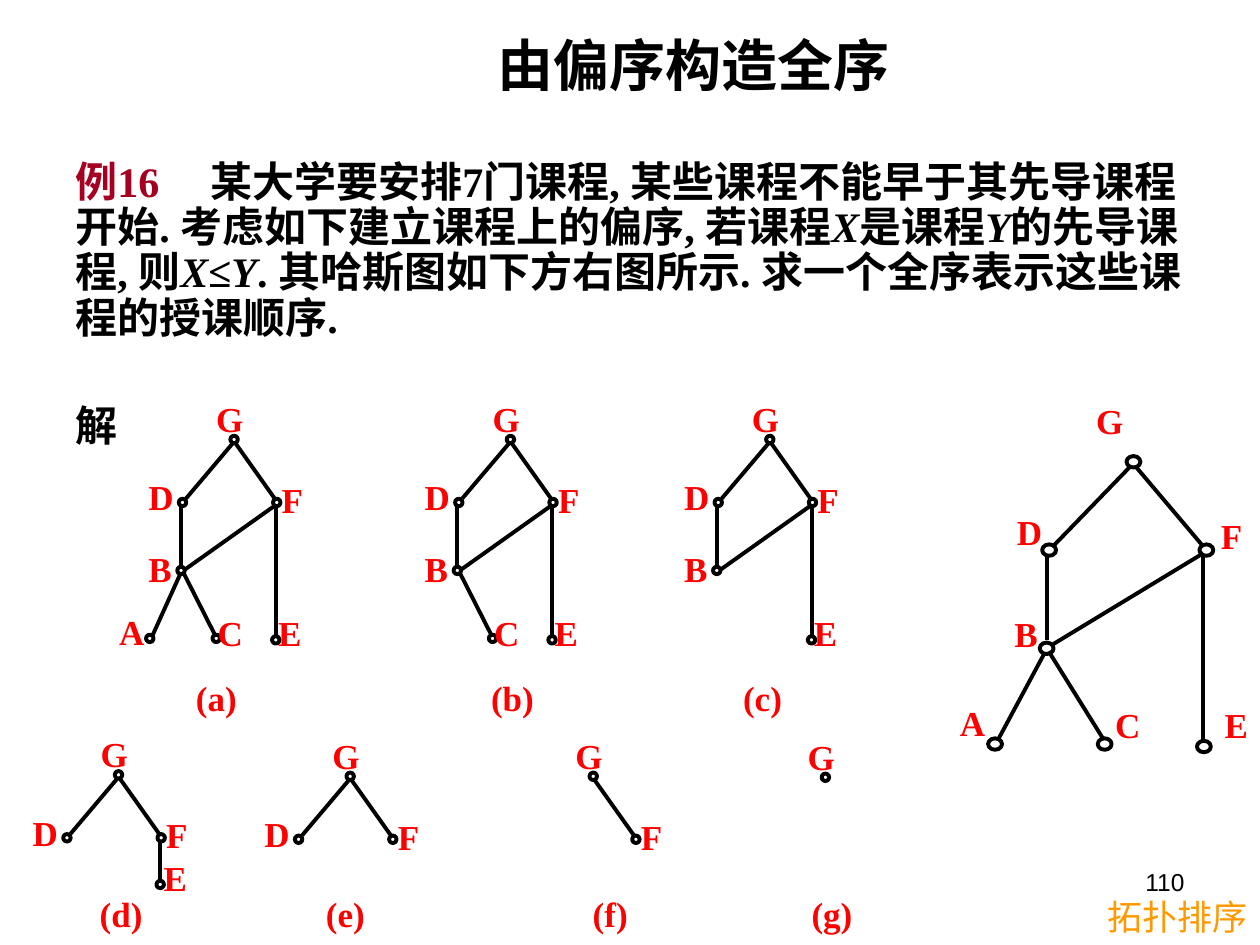
"""Build the slide on extending a partial order of courses to a total order."""
import pptx
import pptx.dml.color
import pptx.enum.shapes
import pptx.enum.text
import pptx.util
import lxml.etree

Cm, Pt = pptx.util.Cm, pptx.util.Pt
ALIGN = pptx.enum.text.PP_ALIGN
SERIF = "Times New Roman"
BLACK, RED, CRIMSON, ORANGE, WHITE = "000000", "FF0000", "A50021", "FF9900", "FFFFFF"

TITLE = "由偏序构造全序"
EXAMPLE = [
    ("例16\t", CRIMSON, False),
    ("某大学要安排7门课程, 某些课程不能早于其先导课程开始. 考虑如下建立课程上的偏序, 若课程", BLACK, False),
    ("X", BLACK, True),
    ("是课程", BLACK, False),
    ("Y", BLACK, True),
    ("的先导课程, 则", BLACK, False),
    ("X", BLACK, True),
    ("≤", BLACK, False),
    ("Y", BLACK, True),
    (". 其哈斯图如下方右图所示. 求一个全序表示这些课程的授课顺序.", BLACK, False),
]
SOLUTION = "解"
CAPTIONS = [
    ((0.89, 13.51, 17.86, 1.7), [("(a)", 2.81), ("(b)", 8.76), ("(c)", 13.84)]),
    ((0.89, 17.86, 17.35, 1.19), [("(d)", 0.87), ("(e)", 5.43), ("(f)", 10.81), ("(g)", 15.22)]),
]

SMALL = {
    "node": (0.15, 0.15),
    "label": (1.37, 1.17),
    "centres": {"G": (0, 0), "D": (-1.04, 1.27), "F": (0.86, 1.27), "B": (-1.07, 2.64),
                "A": (-1.7, 4.01), "C": (-0.36, 4.01), "E": (0.84, 4.04)},
    "labels": {"G": (-0.61, -0.97), "D": (-1.98, 0.61), "F": (0.71, 0.66), "B": (-1.98, 2.06),
               "A": (-2.57, 3.33), "C": (-0.58, 3.35), "E": (0.64, 3.35)},
    "edges": {"BC": (-1.02, 2.69, -0.36, 3.99), "BA": (-1.09, 2.72, -1.65, 3.96),
              "DB": (-1.07, 1.35, -1.07, 2.54), "FB": (0.84, 1.32, -0.99, 2.62),
              "DG": (-0.97, 1.19, -0.03, 0.08), "GF": (0.03, 0.08, 0.84, 1.22),
              "FE": (0.84, 1.35, 0.84, 3.96)},
}
SHORT = {
    **SMALL,
    "centres": {**SMALL["centres"], "E": (0.84, 2.21)},
    "labels": {**SMALL["labels"], "E": (0.66, 1.52)},
    "edges": {**SMALL["edges"], "FE": (0.84, 1.35, 0.84, 2.11)},
}
LARGE = {
    "node": (0.28, 0.23),
    "label": (0.95, 1.68),
    "centres": {"G": (0, 0), "D": (-1.7, 1.78), "F": (1.47, 1.78), "B": (-1.75, 3.76),
                "A": (-2.79, 5.69), "C": (-0.58, 5.69), "E": (1.42, 5.74)},
    "labels": {"G": (-1, -1.38), "D": (-2.6, 0.85), "F": (1.51, 0.93), "B": (-2.65, 2.91),
               "A": (-3.75, 4.71), "C": (-0.62, 4.74), "E": (1.59, 4.74)},
    "edges": {"BC": (-1.71, 3.82, -0.57, 5.65), "BA": (-1.79, 3.85, -2.73, 5.6),
              "DB": (-1.74, 1.89, -1.74, 3.59), "FB": (1.41, 1.84, -1.66, 3.7),
              "DG": (-1.61, 1.69, -0.06, 0.09), "GF": (0.04, 0.09, 1.41, 1.71),
              "FE": (1.41, 1.89, 1.41, 5.6)},
}
DIAGRAMS = [
    (LARGE, "GDFBACE", 22.85, 9.31),
    (SMALL, "GDFBACE", 4.72, 8.86),
    (SMALL, "GDFBCE", 10.29, 8.86),
    (SMALL, "GDFBE", 15.52, 8.86),
    (SHORT, "GDFE", 2.39, 15.62),
    (SMALL, "GDF", 7.06, 15.65),
    (SMALL, "GF", 11.96, 15.65),
    (SMALL, "G", 16.64, 15.67),
]


def rgb(colour):
    return pptx.dml.color.RGBColor.from_string(colour)


def add_run(paragraph, text, size, colour, bold=True, italic=False, font=SERIF):
    run = paragraph.add_run()
    run.text = text
    run.font.size, run.font.name = Pt(size), font
    run.font.bold, run.font.italic = bold, italic
    run.font.color.rgb = rgb(colour)


def add_box(slide, place, align=ALIGN.LEFT, wrap=True):
    frame = slide.shapes.add_textbox(*map(Cm, place)).text_frame
    frame.word_wrap = wrap
    frame.paragraphs[0].alignment = align
    return frame


def set_tabs(paragraph, stops):
    properties = paragraph._p.get_or_add_pPr()
    tabs = lxml.etree.SubElement(properties, pptx.oxml.ns.qn("a:tabLst"))
    for stop in stops:
        lxml.etree.SubElement(tabs, pptx.oxml.ns.qn("a:tab"), pos=str(Cm(stop)), algn="l")


def style_line(line):
    line.color.rgb = rgb(BLACK)
    line.width = Pt(2.25)


def add_edge(slide, x1, y1, x2, y2):
    edge = slide.shapes.add_connector(
        pptx.enum.shapes.MSO_CONNECTOR.STRAIGHT, Cm(x1), Cm(y1), Cm(x2), Cm(y2))
    style_line(edge.line)
    lxml.etree.SubElement(edge._element.spPr, pptx.oxml.ns.qn("a:effectLst"))


def add_node(slide, x, y, width, height, filled):
    node = slide.shapes.add_shape(
        pptx.enum.shapes.MSO_SHAPE.OVAL,
        Cm(x - width / 2), Cm(y - height / 2), Cm(width), Cm(height))
    node.shadow.inherit = False
    style_line(node.line)
    if filled:
        node.fill.solid()
        node.fill.fore_color.rgb = rgb(WHITE)
    else:
        node.fill.background()


def add_diagram(slide, form, courses, x, y):
    for ends, (x1, y1, x2, y2) in form["edges"].items():
        if set(ends) <= set(courses):
            add_edge(slide, x + x1, y + y1, x + x2, y + y2)
    for course in courses:
        dx, dy = form["centres"][course]
        add_node(slide, x + dx, y + dy, *form["node"], course == "C")
    for course in courses:
        dx, dy = form["labels"][course]
        label = add_box(slide, (x + dx, y + dy, *form["label"]), wrap=False)
        add_run(label.paragraphs[0], course, 20, RED)


def add_title(slide):
    title = slide.shapes.title
    title.left, title.top, title.width, title.height = map(Cm, (5.49, 0.71, 16.99, 1.17))
    frame = title.text_frame
    frame.auto_size = pptx.enum.text.MSO_AUTO_SIZE.NONE
    frame.vertical_anchor = pptx.enum.text.MSO_ANCHOR.MIDDLE
    frame.paragraphs[0].alignment = ALIGN.CENTER
    add_run(frame.paragraphs[0], TITLE, 32, BLACK)


def add_example(slide):
    frame = add_box(slide, (1.27, 3.12, 22.86, 14.22))
    example = frame.paragraphs[0]
    example.line_spacing = 0.9
    set_tabs(example, [2.72])
    for text, colour, italic in EXAMPLE:
        add_run(example, text, 24, colour, italic=italic)
    solution = frame.add_paragraph()
    solution.line_spacing = 0.9
    solution.space_before = Pt(36)
    add_run(solution, SOLUTION, 24, BLACK)


def main():
    deck = pptx.Presentation()
    deck.slide_width, deck.slide_height = Cm(25.4), Cm(19.05)
    slide = deck.slides.add_slide(deck.slide_layouts[5])
    number = add_box(slide, (18.21, 17.35, 5.92, 1.32), ALIGN.RIGHT)
    add_run(number.paragraphs[0], "110", 14, BLACK, bold=False, font="Arial")
    add_title(slide)
    add_example(slide)
    for place, captions in CAPTIONS:
        row = add_box(slide, place).paragraphs[0]
        set_tabs(row, [stop for _, stop in captions])
        for caption, _ in captions:
            add_run(row, "\t" + caption, 20, RED)
    for diagram in DIAGRAMS:
        add_diagram(slide, *diagram)
    topic = add_box(slide, (10.49, 17.93, 14.91, 1.12), ALIGN.RIGHT)
    add_run(topic.paragraphs[0], "拓扑排序", 20, ORANGE, bold=False)
    deck.save("out.pptx")


if __name__ == "__main__":
    main()
